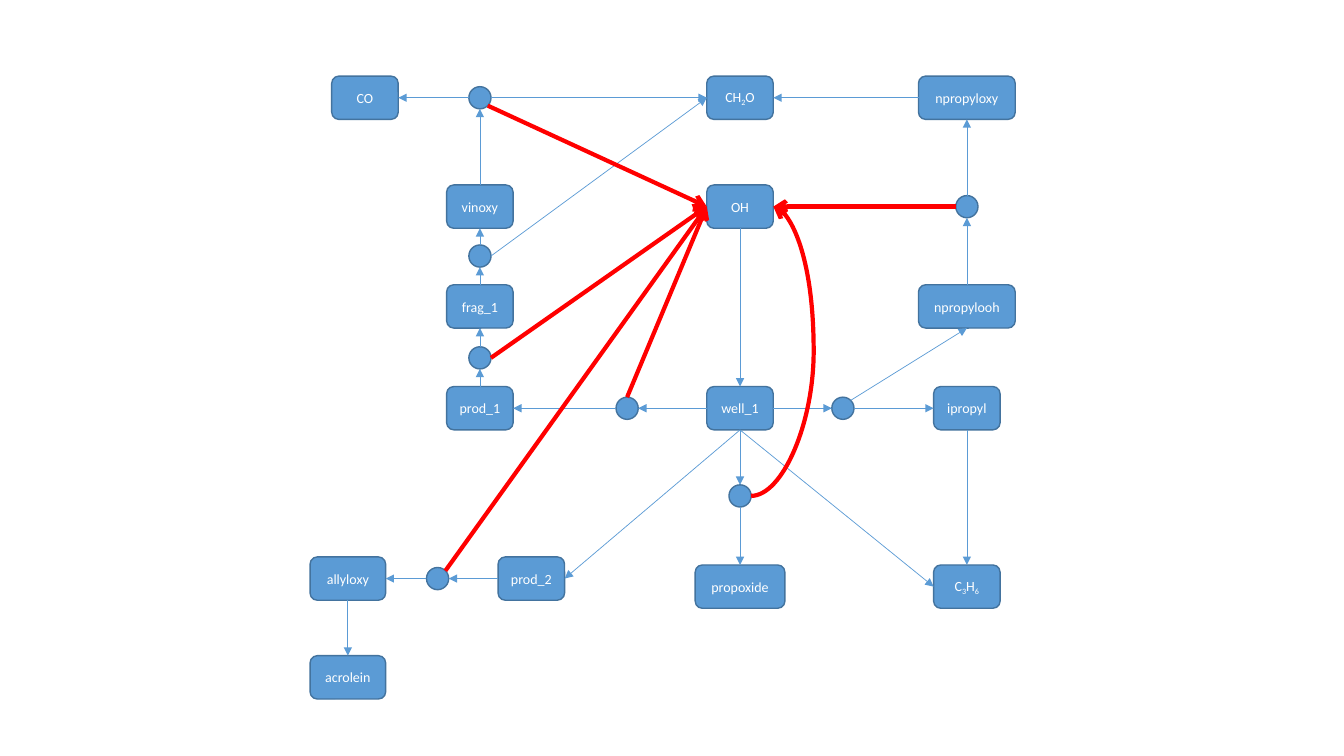
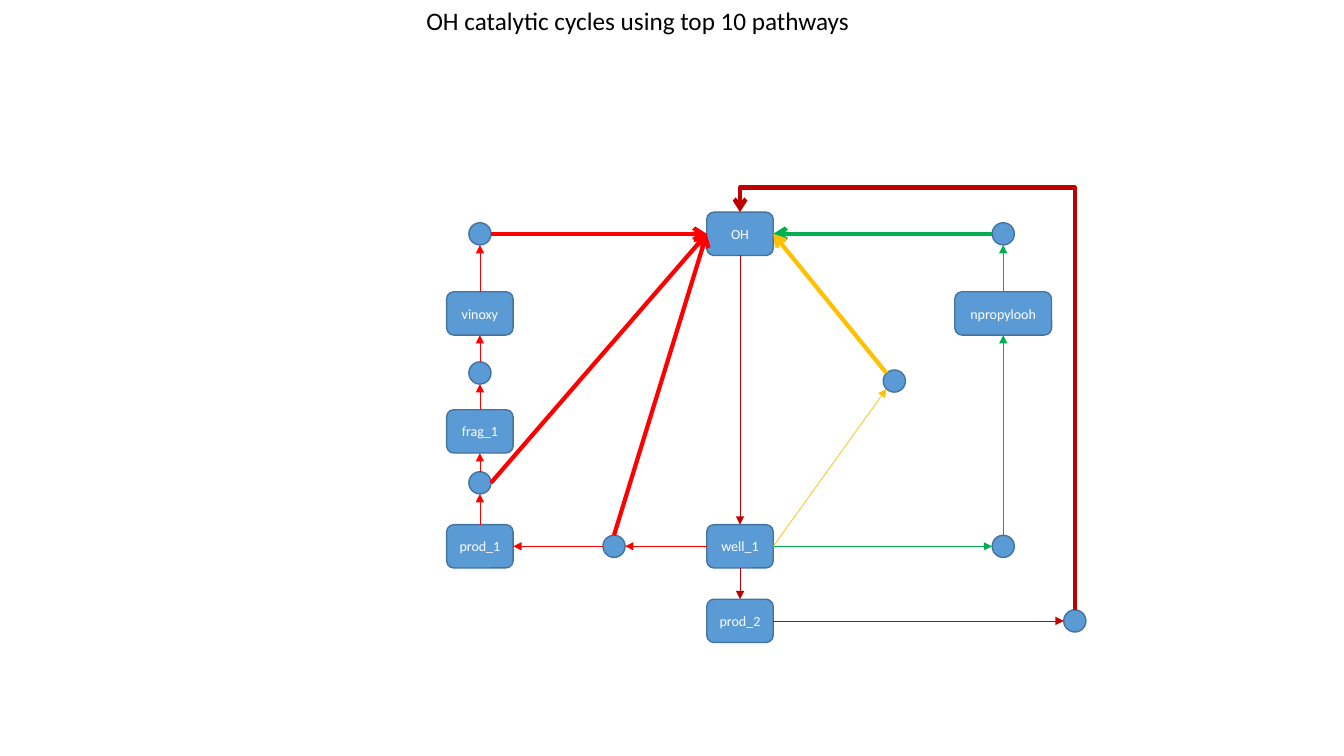
"""Draw two reaction pathway maps of boxes, dots and arrows."""
from lxml import etree
from pptx import Presentation
from pptx import util as u
from pptx.dml.color import RGBColor
from pptx.enum import shapes, text
from pptx.oxml import ns

FONT = "Calibri"
BLUE, EDGE, WHITE, BLACK = "5B9BD5", "43739E", "FFFFFF", "000000"
RED, DARK, GREEN, GOLD = "FF0000", "C00000", "00B050", "FFC000"
BOX, HIGH, DOT = 0.66, 0.43, 0.22
WIDE = {"allyloxy": 0.75, "acrolein": 0.75, "propoxide": 0.89,
        "npropylooh": 0.96, "npropyloxy": 0.96}
SIDES = {"t": (0, -1), "b": (0, 1), "l": (-1, 0), "r": (1, 0),
         "tl": (-0.71, -0.71), "tr": (0.71, -0.71),
         "bl": (-0.71, 0.71), "br": (0.71, 0.71)}

MAPS = [
    {
        "cols": (3.45, 3.62, 4.34, 4.76, 5.27, 6.22, 7.34, 8.36, 9.59),
        "rows": (0.97, 2.05, 2.54, 3.04, 3.55, 4.05, 4.92, 5.74, 5.82, 6.72),
        "boxes": [
            ("CO", 1, 0), ("CH~2~O", 6, 0), ("npropyloxy", 8, 0),
            ("vinoxy", 3, 1), ("OH", 6, 1), ("frag_1", 3, 3),
            ("npropylooh", 8, 3), ("prod_1", 3, 5), ("well_1", 6, 5),
            ("ipropyl", 8, 5), ("allyloxy", 0, 7), ("prod_2", 4, 7),
            ("propoxide", 6, 8), ("C~3~H~6", 8, 8), ("acrolein", 0, 9)],
        "dots": [("split", 3, 0), ("oxy", 8, 1), ("vin", 3, 2),
                 ("frag", 3, 4), ("prod", 5, 5), ("iso", 7, 5),
                 ("prop", 6, 6), ("allyl", 2, 7)],
        "links": [
            (BLUE, False, """
                OH.b>well_1.t well_1.b>C3H6.l ipropyl.b>C3H6.t
                split.r>CH2O.l split.l>CO.r vinoxy.t>split.b
                frag_1.t>vin.b vin.t>vinoxy.b vin.r>CH2O.l
                prod_1.t>frag.b frag.t>frag_1.b
                well_1.l>prod.r prod.l>prod_1.r
                well_1.r>iso.l iso.tr>npropylooh.b iso.r>ipropyl.l
                well_1.b>prop.t prop.b>propoxide.t well_1.b>prod_2.r
                prod_2.l>allyl.r allyl.l>allyloxy.r allyloxy.b>acrolein.t
                npropyloxy.l>CH2O.r npropylooh.t>oxy.b oxy.t>npropyloxy.b"""),
            (RED, True, """
                split.br>OH.l oxy.l>OH.r prod.t>OH.l
                frag.r>OH.l allyl.tr>OH.l""")],
        "bow": ("prop.r>OH.r", RED, "CURVE", 8.07),
    },
    {
        "title": ("OH catalytic cycles using top 10 pathways",
                  4.13, 0, 4.44, 0.4),
        "cols": (4.76, 6.09, 7.34, 8.87, 9.95, 10.66),
        "rows": (2.32, 3.11, 3.7, 3.78, 4.28, 4.79, 5.42, 6.16),
        "boxes": [
            ("OH", 2, 0), ("vinoxy", 0, 1), ("npropylooh", 4, 1),
            ("frag_1", 0, 4), ("prod_1", 0, 6), ("well_1", 2, 6),
            ("prod_2", 2, 7)],
        "dots": [("split", 0, 0), ("oxy", 4, 0), ("vin", 0, 2),
                 ("mid", 3, 3), ("frag", 0, 5), ("prod", 1, 6),
                 ("ooh", 4, 6), ("end", 5, 7)],
        "links": [
            (DARK, False, "OH.b>well_1.t well_1.b>prod_2.t prod_2.r>end.l"),
            (RED, False, """
                vinoxy.t>split.b frag_1.t>vin.b vin.t>vinoxy.b
                prod_1.t>frag.b frag.t>frag_1.b
                well_1.l>prod.r prod.l>prod_1.r"""),
            (GREEN, False, """
                well_1.r>ooh.l ooh.t>npropylooh.b npropylooh.t>oxy.b"""),
            (GOLD, False, "well_1.r>mid.bl"),
            (RED, True, "split.r>OH.l prod.t>OH.l frag.r>OH.l"),
            (GREEN, True, "oxy.l>OH.r"),
            (GOLD, True, "mid.tl>OH.r")],
        "bow": ("end.t>OH.t", DARK, "ELBOW", 1.86),
    },
]


def hue(code):
    return RGBColor.from_string(code)


def inch(*vals):
    return [u.Inches(v) for v in vals]


def write(par, words, size, code):
    """Add runs; parts between tildes are lowered."""
    for i, part in enumerate(words.split("~")):
        if not part:
            continue
        run = par.add_run()
        run.text = part
        run.font.name, run.font.size = FONT, u.Pt(size)
        run.font.color.rgb = hue(code)
        if i % 2:
            run.font._element.set("baseline", "-25000")


def node(page, kind, x, y, w, h, label=""):
    """Draw one box or dot centred on a point."""
    shp = page.shapes.add_shape(kind, *inch(x - w / 2, y - h / 2, w, h))
    shp.shadow.inherit = False
    shp.fill.solid()
    shp.fill.fore_color.rgb = hue(BLUE)
    shp.line.color.rgb, shp.line.width = hue(EDGE), u.Pt(1)
    if label:
        frame = shp.text_frame
        frame.vertical_anchor = text.MSO_ANCHOR.MIDDLE
        par = frame.paragraphs[0]
        par.alignment = text.PP_ALIGN.CENTER
        write(par, label, 10, WHITE)
    return x, y, w / 2, h / 2


def ends(path, spots):
    """Turn 'a.r>b.l' into two points."""
    pts = []
    for stop in path.split(">"):
        name, side = stop.split(".")
        x, y, w, h = spots[name]
        dx, dy = SIDES[side]
        pts.append((x + dx * w, y + dy * h))
    return pts


def arrow(page, start, stop, code, heavy, kind="STRAIGHT"):
    """Draw an arrow, thin or heavy."""
    line = page.shapes.add_connector(
        getattr(shapes.MSO_CONNECTOR, kind), *inch(*start, *stop))
    line.line.color.rgb = hue(code)
    line.line.width = u.Pt(3 if heavy else 0.5)
    etree.SubElement(line.line._get_or_add_ln(), ns.qn("a:tailEnd"),
                     type="arrow" if heavy else "triangle")
    etree.SubElement(line._element.spPr, ns.qn("a:effectLst"))
    return line


def bow(page, start, stop, code, kind, reach):
    """Draw a heavy arrow that goes out as far as reach and back."""
    (ax, ay), (bx, by) = start, stop
    turn = kind == "ELBOW"
    if turn:
        mx, my = (ax + bx) / 2, (ay + by) / 2
        start, stop = [(mx - y + my, my + x - mx) for x, y in (start, stop)]
        bend = (reach - ay) / (by - ay)
    else:
        bend = (reach - ax) / (bx - ax)
    line = arrow(page, start, stop, code, True, kind)
    props = line._element.spPr
    if turn:
        props.find(ns.qn("a:xfrm")).set("rot", str(270 * 60000))
    geom = props.find(ns.qn("a:prstGeom"))
    etree.SubElement(geom.get_or_add_avLst(), ns.qn("a:gd"), name="adj1",
                     fmla=f"val {round(bend * 100000)}")


def draw(page, plan):
    """Draw one whole map."""
    cols, rows = plan["cols"], plan["rows"]
    spots = {}
    for label, c, r in plan["boxes"]:
        spots[label.replace("~", "")] = node(
            page, shapes.MSO_SHAPE.ROUNDED_RECTANGLE, cols[c], rows[r],
            WIDE.get(label, BOX), HIGH, label)
    for name, c, r in plan["dots"]:
        spots[name] = node(page, shapes.MSO_SHAPE.OVAL,
                           cols[c], rows[r], DOT, DOT)
    for code, heavy, paths in plan["links"]:
        for path in paths.split():
            arrow(page, *ends(path, spots), code, heavy)
    path, code, kind, reach = plan["bow"]
    bow(page, *ends(path, spots), code, kind, reach)
    if "title" in plan:
        words, *area = plan["title"]
        frame = page.shapes.add_textbox(*inch(*area)).text_frame
        frame.word_wrap = False
        frame.auto_size = text.MSO_AUTO_SIZE.SHAPE_TO_FIT_TEXT
        write(frame.paragraphs[0], words, 18, BLACK)


deck = Presentation()
deck.slide_width, deck.slide_height = inch(13.33, 7.5)
for plan in MAPS:
    draw(deck.slides.add_slide(deck.slide_layouts[6]), plan)
deck.save("out.pptx")
